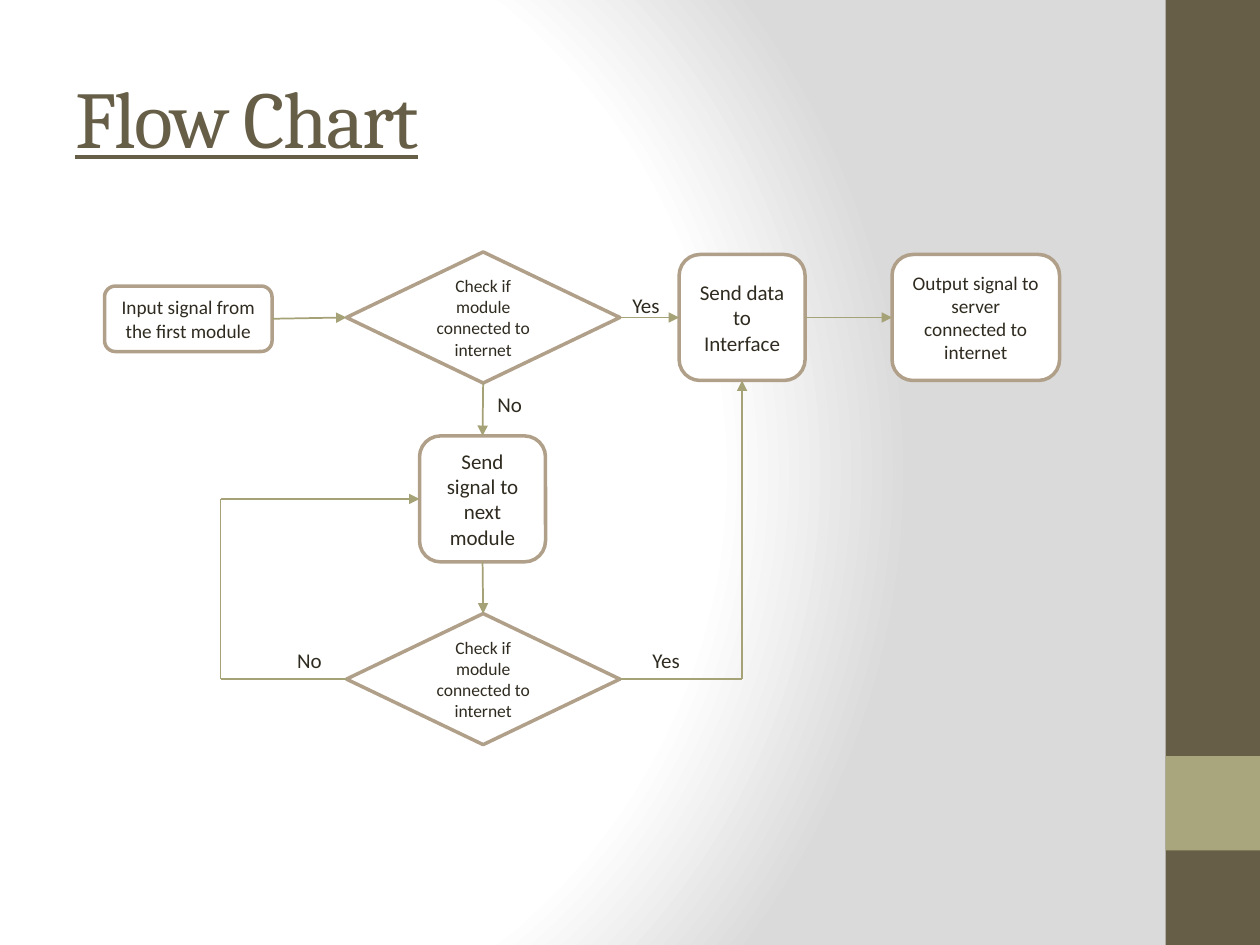
from pptx import Presentation
from pptx.dml.color import RGBColor as Rgb
from pptx.enum.shapes import MSO_CONNECTOR as Conn, MSO_SHAPE as Kind
from pptx.enum.text import MSO_ANCHOR as Anchor, PP_ALIGN as Align
from pptx.oxml import parse_xml
from pptx.oxml.ns import nsdecls, qn
from pptx.oxml.xmlchemy import OxmlElement as Node
from pptx.util import Inches, Pt

INK, DARK, LIGHT = "2F2B20", "675E47", "A9A57C"
EDGE, WIRE, WHITE = "B1A089", "A6A278", "FFFFFF"
TOP, LEFT, BASE, RIGHT = range(4)


def color(code):
    return Rgb.from_string(code)


def write(shape, text, size=12, font="Calibri", ink=INK, align=Align.LEFT,
          anchor=Anchor.TOP, wrap=True, under=False, space=0):
    frame = shape.text_frame
    frame.word_wrap = wrap
    frame.vertical_anchor = anchor
    para = frame.paragraphs[0]
    para.alignment = align
    run = para.add_run()
    run.text = text
    face = run.font
    face.size, face.name = Pt(size), font
    face.color.rgb = color(ink)
    if under:
        face.underline = True
    if space:
        run._r.get_or_add_rPr().set("spc", str(space * 100))


def label(slide, text, x, y, w, h, **form):
    box = slide.shapes.add_textbox(Inches(x), Inches(y), Inches(w), Inches(h))
    write(box, text, **form)


def block(slide, kind, x, y, w, h, fill, edge=None):
    shape = slide.shapes.add_shape(
        kind, Inches(x), Inches(y), Inches(w), Inches(h))
    shape.shadow.inherit = False
    shape.fill.solid()
    shape.fill.fore_color.rgb = color(fill)
    if edge:
        shape.line.color.rgb = color(edge)
        shape.line.width = Pt(2)
    else:
        shape.line.fill.background()
    return shape


def step(slide, kind, text, x, y, w, h, size):
    shape = block(slide, kind, x, y, w, h, WHITE, EDGE)
    write(shape, text, size=size, align=Align.CENTER, anchor=Anchor.MIDDLE)
    return shape


def link(slide, start, end, arrow=True):
    free = [(0, 0) if hasattr(spot[0], "shape_id") else spot
            for spot in (start, end)]
    ends = [Inches(n) for spot in free for n in spot]
    wire = slide.shapes.add_connector(Conn.STRAIGHT, *ends)
    for spot, join in ((start, wire.begin_connect), (end, wire.end_connect)):
        if hasattr(spot[0], "shape_id"):
            join(*spot)
    wire.line.color.rgb = color(WIRE)
    wire.line.width = Pt(1)
    if arrow:
        tip = Node("a:tailEnd")
        tip.set("type", "triangle")
        wire.line._get_or_add_ln().append(tip)
    wire._element.spPr.append(Node("a:effectLst"))


def shade(slide):
    slide.background.fill.solid()
    back = slide.element.find(".//" + qn("p:bgPr"))
    stops = "".join(
        f'<a:gs pos="{pos}000"><a:srgbClr val="{code}"/></a:gs>'
        for pos, code in ((0, WHITE), (75, WHITE), (100, "DADADA")))
    back.replace(back[0], parse_xml(
        f'<a:gradFill {nsdecls("a")} rotWithShape="1"><a:gsLst>{stops}</a:gsLst>'
        '<a:path path="circle"><a:fillToRect l="20000" t="50000" '
        'r="100000" b="50000"/></a:path></a:gradFill>'))


def main():
    deck = Presentation()
    deck.slide_width, deck.slide_height = Inches(10), Inches(7.5)
    slide = deck.slides.add_slide(deck.slide_layouts[6])
    shade(slide)
    block(slide, Kind.RECTANGLE, 9.25, 0, 0.75, 7.5, DARK)
    block(slide, Kind.RECTANGLE, 9.25, 6, 0.75, 0.75, LIGHT)
    label(slide, "Flow Chart", 0.5, 0.3, 8.33, 1.25, size=46, font="Cambria",
          ink=DARK, anchor=Anchor.MIDDLE, under=True, space=-1)

    box = Kind.ROUNDED_RECTANGLE
    source = step(slide, box, "Input signal from the first module",
                  0.83, 2.27, 1.33, 0.52, 11)
    check, again = [
        step(slide, Kind.DIAMOND, "Check if module connected to internet",
             2.75, y, 2.17, 1.04, 10) for y in (2, 4.87)]
    send = step(slide, box, "Send data to Interface", 5.39, 2.02, 1, 1, 12)
    relay = step(slide, box, "Send signal to next module",
                 3.33, 3.46, 1, 1, 12)
    output = step(slide, box, "Output signal to server connected to internet",
                  7.08, 2.02, 1.33, 1, 11)

    for start, end in (
            ((source, RIGHT), (check, LEFT)),
            ((check, RIGHT), (send, LEFT)),
            ((check, BASE), (relay, TOP)),
            ((relay, BASE), (again, TOP)),
            ((send, RIGHT), (output, LEFT))):
        link(slide, start, end)

    low, mid = 5.39, 3.96
    back, ahead = (1.75, low), (5.89, low)
    link(slide, (again, LEFT), back, arrow=False)
    link(slide, back, (1.75, mid), arrow=False)
    link(slide, (1.75, mid), (relay, LEFT))
    link(slide, (again, RIGHT), ahead, arrow=False)
    link(slide, ahead, (send, BASE))

    for x, y in ((4.92, 2.27), (5.08, 5.09)):
        label(slide, "Yes", x, y, 0.51, 0.3)
    for x, y in ((2.26, 5.09), (3.85, 3.06)):
        label(slide, "No", x, y, 0.4, 0.3, wrap=False)
    deck.save("out.pptx")


if __name__ == "__main__":
    main()
